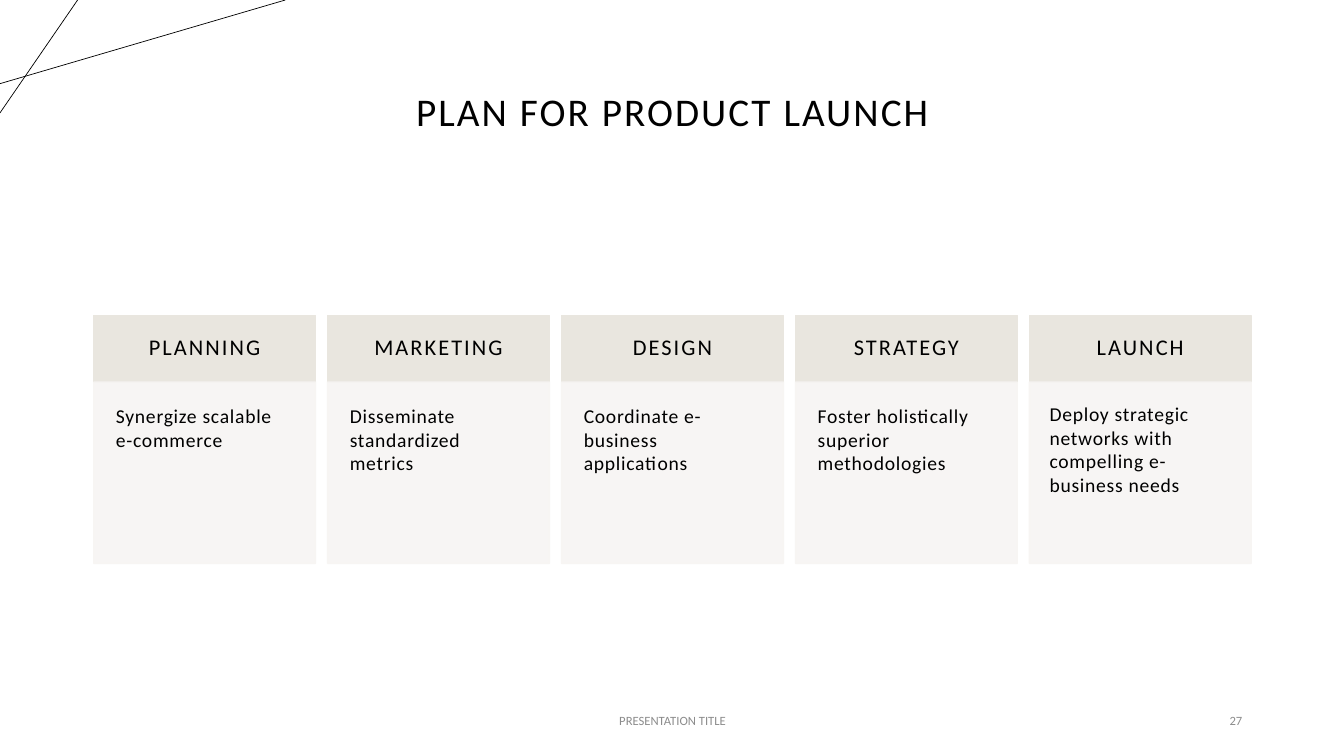
"""Build the product launch plan slide: five stages in a row of cards."""
from dataclasses import dataclass
from typing import NamedTuple

from lxml import etree
from pptx import Presentation
from pptx.dml.color import RGBColor
from pptx.enum.shapes import MSO_CONNECTOR, MSO_SHAPE
from pptx.enum.text import MSO_ANCHOR, PP_ALIGN
from pptx.oxml.ns import qn
from pptx.util import Inches, Pt

LEFT, CENTER, RIGHT = PP_ALIGN.LEFT, PP_ALIGN.CENTER, PP_ALIGN.RIGHT
TOP, MIDDLE = MSO_ANCHOR.TOP, MSO_ANCHOR.MIDDLE
RECTANGLE, STRAIGHT = MSO_SHAPE.RECTANGLE, MSO_CONNECTOR.STRAIGHT

PAGE_WIDTH, PAGE_HEIGHT = 13.33, 7.5
FONT = "Calibri"
BLACK, GRAY, SAND, CREAM = "000000", "8C8C8C", "E9E6DF", "F7F5F3"
CREAM_OPACITY = 90

GRID_LEFT, GRID_TOP = 0.93, 3.13
CARD_WIDTH, CARD_GAP = 2.2, 0.12
HEADER_HEIGHT, BODY_HEIGHT = 0.66, 1.8
FOOTER_TOP, FOOTER_HEIGHT = 6.95, 0.4


class Area(NamedTuple):
    """A rectangle on the page, in inches."""
    left: float
    top: float
    width: float
    height: float


@dataclass(frozen=True)
class TextStyle:
    """How a block of text is set; sizes and tracking in points."""
    size: float
    color: str = BLACK
    align: PP_ALIGN = CENTER
    anchor: MSO_ANCHOR = MIDDLE
    tracking: float = 0
    line_spacing: float = 1.0


@dataclass(frozen=True)
class Stage:
    """One stage of the launch plan."""
    name: str
    task: str
    body_inset: float = 0.22


class Stroke(NamedTuple):
    """A decorative corner line between two points, in inches."""
    start: tuple[float, float]
    end: tuple[float, float]


TITLE = TextStyle(28, tracking=1.5, line_spacing=0.9)
STAGE_NAME = TextStyle(16, tracking=1.5, line_spacing=0.9)
STAGE_TASK = TextStyle(14, align=LEFT, anchor=TOP, tracking=0.5)
FOOTER = TextStyle(9, GRAY)
PAGE_NUMBER = TextStyle(9, GRAY, RIGHT)

STAGES = [
    Stage("PLANNING", "Synergize scalable e-commerce"),
    Stage("MARKETING", "Disseminate standardized metrics"),
    Stage("DESIGN", "Coordinate e-business applications"),
    Stage("STRATEGY", "Foster holistically superior methodologies"),
    Stage("LAUNCH", "Deploy strategic networks with compelling e-business needs", 0.2),
]
CORNER_STROKES = [Stroke((0, 0.83), (2.83, 0)), Stroke((0.77, 0), (0, 1.12))]
LABELS = [
    ("PLAN FOR PRODUCT LAUNCH", Area(0.92, 0.4, 11.5, 1.45), TITLE),
    ("PRESENTATION TITLE", Area(4.42, FOOTER_TOP, 4.5, FOOTER_HEIGHT), FOOTER),
    ("27", Area(9.42, FOOTER_TOP, 3, FOOTER_HEIGHT), PAGE_NUMBER),
]


def rgb(color: str) -> RGBColor:
    """Turn a hex string into a colour."""
    return RGBColor.from_string(color)


def inches(area: Area) -> list[Inches]:
    """Convert an area to slide lengths."""
    return [Inches(length) for length in area]


def write(shape, text: str, style: TextStyle, inset: float | None = None) -> None:
    """Set one paragraph of styled text in a shape."""
    frame = shape.text_frame
    frame.word_wrap = True
    frame.vertical_anchor = style.anchor
    if inset is not None:
        frame.margin_left = frame.margin_right = Inches(inset)
        frame.margin_top = frame.margin_bottom = Inches(inset)
    para = frame.paragraphs[0]
    para.alignment = style.align
    para.line_spacing = style.line_spacing
    span = para.add_run()
    span.text = text
    span.font.name = FONT
    span.font.size = Pt(style.size)
    span.font.color.rgb = rgb(style.color)
    if style.tracking:
        span.font._element.set("spc", str(round(style.tracking * 100)))


def add_panel(page, area: Area, color: str, opacity: int = 100):
    """Draw a flat rectangle whose outline matches its fill."""
    panel = page.shapes.add_shape(RECTANGLE, *inches(area))
    panel.shadow.inherit = False
    panel.fill.solid()
    panel.fill.fore_color.rgb = rgb(color)
    panel.line.color.rgb = rgb(color)
    panel.line.width = Pt(1)
    if opacity < 100:
        for tint in panel._element.spPr.iter(qn("a:srgbClr")):
            etree.SubElement(tint, qn("a:alpha"), val=str(opacity * 1000))
    return panel


def add_card(page, column: int, stage: Stage) -> None:
    """Draw a stage as a header above its task."""
    left = GRID_LEFT + column * (CARD_WIDTH + CARD_GAP)
    header = Area(left, GRID_TOP, CARD_WIDTH, HEADER_HEIGHT)
    body = Area(left, GRID_TOP + HEADER_HEIGHT, CARD_WIDTH, BODY_HEIGHT)
    write(add_panel(page, header, SAND), stage.name, STAGE_NAME, 0.17)
    write(add_panel(page, body, CREAM, CREAM_OPACITY), stage.task, STAGE_TASK,
          stage.body_inset)


def add_stroke(page, stroke: Stroke) -> None:
    """Draw a thin black line without a shadow."""
    ends = [Inches(length) for length in (*stroke.start, *stroke.end)]
    line = page.shapes.add_connector(STRAIGHT, *ends)
    line.line.color.rgb = rgb(BLACK)
    line.line.width = Pt(0.5)
    etree.SubElement(line._element.spPr, qn("a:effectLst"))


def main() -> None:
    """Build and save the deck."""
    deck = Presentation()
    deck.slide_width, deck.slide_height = Inches(PAGE_WIDTH), Inches(PAGE_HEIGHT)
    page = deck.slides.add_slide(deck.slide_layouts[6])
    for stroke in CORNER_STROKES:
        add_stroke(page, stroke)
    for text, area, style in LABELS:
        write(page.shapes.add_textbox(*inches(area)), text, style)
    for column, stage in enumerate(STAGES):
        add_card(page, column, stage)
    deck.save("out.pptx")


main()
